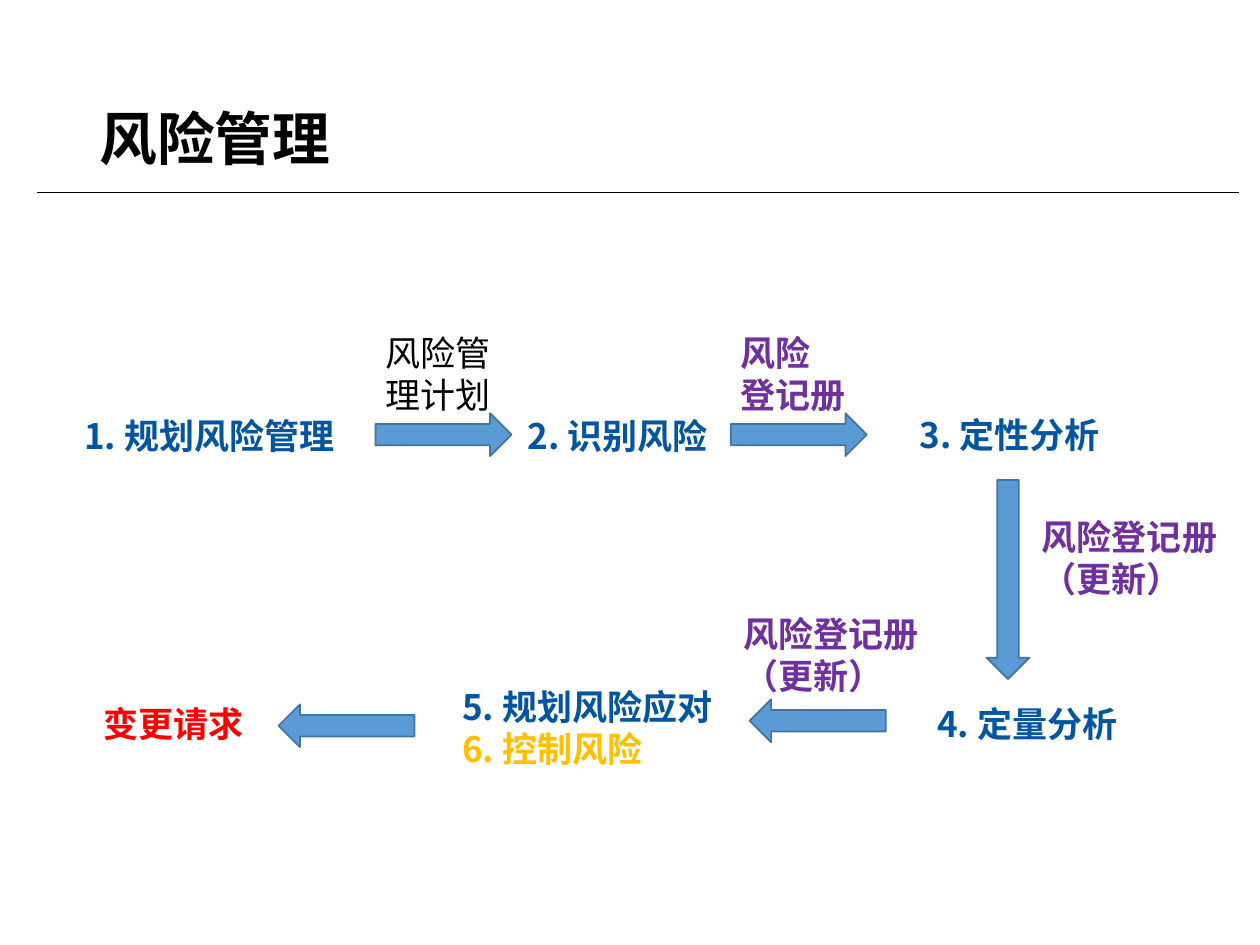
"""Build the risk management process slide."""
from pptx import Presentation
from pptx.dml.color import RGBColor
from pptx.enum.shapes import MSO_CONNECTOR as LINE, MSO_SHAPE as SHAPE
from pptx.enum.text import MSO_ANCHOR as ANCHOR, MSO_AUTO_SIZE as FIT
from pptx.oxml.xmlchemy import OxmlElement
from pptx.util import Pt

PX = 9144
COLORS = {"black": "000000", "step": "0255A0", "control": "FFC000", "register": "7030A0",
          "change": "FF0000", "arrow": "5B9BD5", "outline": "43739E"}
BODY, STEP = "Calibri", "Noto Sans CJK SC"


def color(key):
    return RGBColor.from_string(COLORS[key])


def add_label(box, text, font, keys, bold=True, size=20):
    label = slide.shapes.add_textbox(*[n * PX for n in box])
    frame = label.text_frame
    frame.text = text
    frame.word_wrap = True
    for paragraph, key in zip(frame.paragraphs, keys):
        for run in paragraph.runs:
            run.font.name = font
            run.font.size = Pt(size)
            run.font.bold = bold
            run.font.color.rgb = color(key)
    return frame


deck = Presentation()
deck.slide_width, deck.slide_height = 1000 * PX, 750 * PX
slide = deck.slides.add_slide(deck.slide_layouts[6])

rule = slide.shapes.add_connector(LINE.STRAIGHT, 29 * PX, 153 * PX, 983 * PX, 153 * PX)
rule.line.color.rgb = color("black")
rule.line.width = Pt(0.5)
rule._element.spPr.append(OxmlElement("a:effectLst"))

title = add_label((69, 40, 862, 145), "风险管理", BODY, ["black"], size=33)
title.vertical_anchor = ANCHOR.MIDDLE
title.paragraphs[0].line_spacing = 0.9

arrows = [(298, 328, 108, 0), (580, 328, 108, 0), (721, 443, 158, 90),
          (595, 555, 108, 180), (221, 559, 108, 180)]
for left, top, length, angle in arrows:
    arrow = slide.shapes.add_shape(SHAPE.RIGHT_ARROW, left * PX, top * PX, length * PX, 34 * PX)
    arrow.rotation = angle
    arrow.shadow.inherit = False
    arrow.fill.solid()
    arrow.fill.fore_color.rgb = color("arrow")
    arrow.line.color.rgb = color("outline")
    arrow.line.width = Pt(1)

labels = [
    ((57, 324, 223, 44), "1. 规划风险管理", STEP, ["step"], True),
    ((409, 324, 165, 44), "2. 识别风险", STEP, ["step"], True),
    ((720, 323, 165, 44), "3. 定性分析", STEP, ["step"], True),
    ((734, 553, 211, 44), "4. 定量分析", STEP, ["step"], True),
    ((357, 539, 222, 77), "5. 规划风险应对\n6. 控制风险", STEP, ["step", "control"], True),
    ((296, 258, 106, 77), "风险管理计划", BODY, ["black"], False),
    ((578, 258, 117, 77), "风险\n登记册", BODY, ["register"] * 2, True),
    ((817, 404, 172, 77), "风险登记册（更新）", BODY, ["register"], True),
    ((580, 481, 172, 77), "风险登记册（更新）", BODY, ["register"], True),
    ((72, 553, 134, 44), "变更请求", BODY, ["change"], True),
]
for box, text, font, keys, bold in labels:
    add_label(box, text, font, keys, bold).auto_size = FIT.SHAPE_TO_FIT_TEXT

deck.save("out.pptx")
